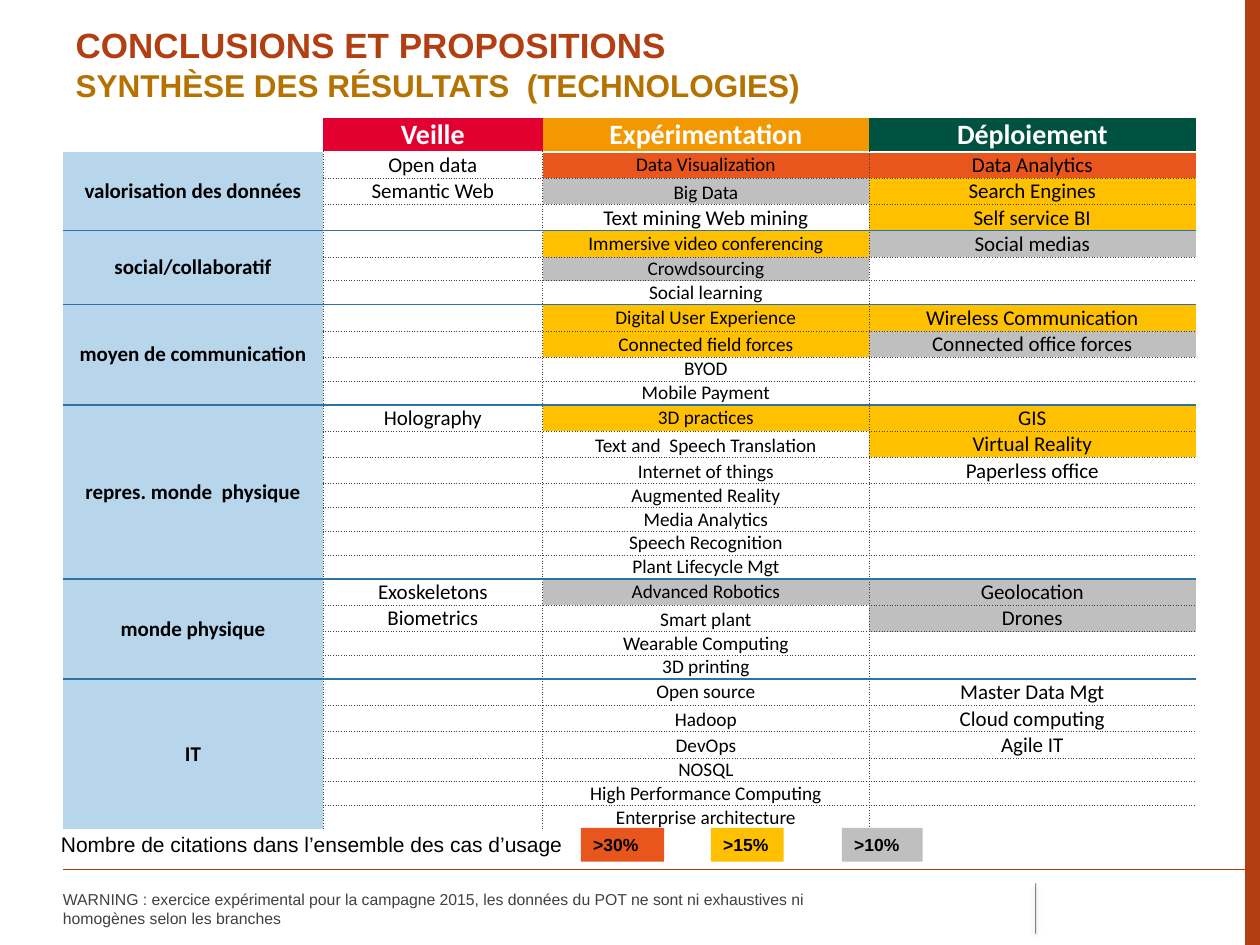
from dataclasses import dataclass
from itertools import zip_longest
from typing import Optional

from lxml.etree import SubElement
from pptx import Presentation
from pptx.dml.color import RGBColor
from pptx.enum.shapes import MSO_CONNECTOR as Connector, MSO_SHAPE as Shape
from pptx.enum.text import MSO_ANCHOR as Anchor, PP_ALIGN as Align
from pptx.oxml.ns import qn
from pptx.util import Cm, Pt

RUST, OCHRE, BLACK, WHITE, GREY = "B23F12", "B67200", "000000", "FFFFFF", "404040"
ORANGE, YELLOW, SILVER, PALE_BLUE = "E8561E", "FFC000", "BFBFBF", "B7D5EB"
PLAIN_STYLE = "{2D5ABB26-0587-4C30-8999-92F81FD0307C}"
COLUMN_WIDTHS = (5.24, 4.43, 6.58, 6.58)
HEADER_HEIGHT, TALL_ROW, SHORT_ROW = 0.69, 0.53, 0.47


@dataclass
class Item:
    text: str = ""
    fill: str = WHITE
    size: Optional[int] = None


@dataclass
class Group:
    name: str
    watch: list
    trial: list
    rollout: list


@dataclass
class Border:
    color: str
    width: float
    dash: str = "solid"


@dataclass
class Legend:
    text: str
    left: float
    width: float
    fill: str


DOTTED = Border(GREY, 0.5, "dot")
BLUE = Border("2D72A4", 1)
WHITE_EDGE = Border(WHITE, 1)

HEADERS = [Item(), Item("Veille", "E20031"), Item("Expérimentation", "F39800"), Item("Déploiement", "005240")]
GROUPS = [
    Group("valorisation des données",
          [Item("Open data"), Item("Semantic Web")],
          [Item("Data Visualization", ORANGE), Item("Big Data", SILVER),
           Item("Text mining Web mining", size=12)],
          [Item("Data Analytics", ORANGE), Item("Search Engines", YELLOW), Item("Self service BI", YELLOW)]),
    Group("social/collaboratif", [],
          [Item("Immersive video conferencing", YELLOW), Item("Crowdsourcing", SILVER),
           Item("Social learning")],
          [Item("Social medias", SILVER)]),
    Group("moyen de communication", [],
          [Item("Digital User Experience", YELLOW), Item("Connected field forces", YELLOW),
           Item("BYOD"), Item("Mobile Payment")],
          [Item("Wireless Communication", YELLOW), Item("Connected office forces", SILVER)]),
    Group("repres. monde  physique",
          [Item("Holography")],
          [Item("3D practices", YELLOW), Item("Text and  Speech Translation"), Item("Internet of things"),
           Item("Augmented Reality"), Item("Media Analytics"), Item("Speech Recognition"),
           Item("Plant Lifecycle Mgt")],
          [Item("GIS", YELLOW), Item("Virtual Reality", YELLOW), Item("Paperless office")]),
    Group("monde physique",
          [Item("Exoskeletons"), Item("Biometrics")],
          [Item("Advanced Robotics", SILVER), Item("Smart plant"), Item("Wearable Computing"),
           Item("3D printing")],
          [Item("Geolocation", SILVER), Item("Drones", SILVER)]),
    Group("IT", [],
          [Item("Open source"), Item("Hadoop"), Item("DevOps"), Item("NOSQL"),
           Item("High Performance Computing"), Item("Enterprise architecture")],
          [Item("Master Data Mgt"), Item("Cloud computing"), Item("Agile IT")]),
]
LEGENDS = [Legend(">30%", 11.71, 1.68, ORANGE), Legend(">15%", 14.33, 1.47, YELLOW),
           Legend(">10%", 16.97, 1.63, SILVER)]


def rgb(color: str) -> RGBColor:
    return RGBColor.from_string(color)


def add_run(paragraph, text: str, size: float, color: str, bold: bool = False, font: str = "Arial") -> None:
    run = paragraph.add_run()
    run.text = text
    run.font.name, run.font.size, run.font.bold = font, Pt(size), bold
    run.font.color.rgb = rgb(color)


def add_rectangle(slide, left: float, top: float, width: float, height: float, fill: str):
    shape = slide.shapes.add_shape(Shape.RECTANGLE, Cm(left), Cm(top), Cm(width), Cm(height))
    shape.shadow.inherit = False
    shape.fill.solid()
    shape.fill.fore_color.rgb = rgb(fill)
    shape.line.fill.background()
    return shape


def add_line(slide, start: tuple, end: tuple, color: str, width: float):
    line = slide.shapes.add_connector(Connector.STRAIGHT, *map(Cm, start + end))
    line.line.color.rgb = rgb(color)
    line.line.width = Pt(width)
    return line, SubElement(line._element.spPr, qn("a:effectLst"))


def add_text(slide, left: float, top: float, width: float, height: float, text: str, size: float, color: str):
    box = slide.shapes.add_textbox(Cm(left), Cm(top), Cm(width), Cm(height))
    box.text_frame.word_wrap = True
    add_run(box.text_frame.paragraphs[0], text, size, color)
    return box.text_frame


def set_borders(cell, **borders: Optional[Border]) -> None:
    properties = cell._tc.get_or_add_tcPr()
    for side in "LRTB":
        border = borders.get(side)
        if border:
            line = SubElement(properties, qn(f"a:ln{side}"), w=str(Pt(border.width)))
            SubElement(SubElement(line, qn("a:solidFill")), qn("a:srgbClr"), val=border.color)
            SubElement(line, qn("a:prstDash"), val=border.dash)


def fill_cell(cell, item: Item, size: int, color: str = BLACK, bold: bool = False, anchor=Anchor.BOTTOM) -> None:
    cell.margin_left = cell.margin_right = cell.margin_top = cell.margin_bottom = 0
    cell.vertical_anchor = anchor
    cell.fill.solid()
    cell.fill.fore_color.rgb = rgb(item.fill)
    paragraph = cell.text_frame.paragraphs[0]
    paragraph.alignment = Align.CENTER
    if item.text:
        add_run(paragraph, item.text, item.size or size, color, bold, "Calibri")
    else:
        SubElement(paragraph._p, qn("a:endParaRPr"), sz=str(size * 100))


def add_group(table, group: Group, first_row: int, is_first: bool, is_last: bool) -> int:
    rows = list(zip_longest(group.watch, group.trial, group.rollout, fillvalue=Item()))
    last_row = first_row + len(rows) - 1
    closing = None if is_last else BLUE
    name_cell = table.cell(first_row, 0)
    name_cell.merge(table.cell(last_row, 0))
    set_borders(name_cell, R=DOTTED, T=None if is_first else BLUE, B=closing)
    fill_cell(name_cell, Item(group.name, PALE_BLUE), 12, bold=True, anchor=Anchor.MIDDLE)
    opening = WHITE_EDGE if is_first else BLUE
    for row, items in enumerate(rows, first_row):
        watch, trial, rollout = items
        tall = watch.text or rollout.text or trial.size == 12
        table.rows[row].height = Cm(TALL_ROW if tall else SHORT_ROW)
        for column, item in enumerate(items, 1):
            cell = table.cell(row, column)
            set_borders(cell, L=DOTTED, R=DOTTED if column < 3 else None,
                        T=opening if row == first_row else DOTTED,
                        B=closing if row == last_row else DOTTED)
            centred = column == 2 and row == first_row
            fill_cell(cell, item, 12 if column != 2 and item.text else 11,
                      anchor=Anchor.MIDDLE if centred else Anchor.BOTTOM)
    return last_row + 1


def add_technology_table(slide) -> None:
    row_count = 1 + sum(len(group.trial) for group in GROUPS)
    frame = slide.shapes.add_table(row_count, 4, Cm(1.27), Cm(2.37), Cm(sum(COLUMN_WIDTHS)), Cm(14.2))
    table = frame.table
    table.first_row = table.horz_banding = False
    table._tbl.tblPr.find(qn("a:tableStyleId")).text = PLAIN_STYLE
    for column, width in zip(table.columns, COLUMN_WIDTHS):
        column.width = Cm(width)
    table.rows[0].height = Cm(HEADER_HEIGHT)
    for column, header in enumerate(HEADERS):
        set_borders(table.cell(0, column), B=WHITE_EDGE if header.text else None)
        fill_cell(table.cell(0, column), header, 16, WHITE, True)
    row = 1
    for group in GROUPS:
        row = add_group(table, group, row, group is GROUPS[0], group is GROUPS[-1])


def add_title(slide) -> None:
    title = slide.shapes.title
    title.left, title.top, title.width, title.height = Cm(1.27), Cm(0.41), Cm(22.15), Cm(1.75)
    paragraph = title.text_frame.paragraphs[0]
    paragraph.alignment = Align.LEFT
    add_run(paragraph, "CONCLUSIONS ET PROPOSITIONS", 20, RUST, True)
    paragraph.add_line_break()
    add_run(paragraph, "SYNTHÈSE DES RÉSULTATS  (TECHNOLOGIES)", 18, OCHRE, True)


def add_frame(slide) -> None:
    add_rectangle(slide, 25.1, 0, 0.3, 19.05, RUST)
    add_line(slide, (1.27, 17.53), (25.4, 17.53), RUST, 0.75)
    divider, effects = add_line(slide, (20.88, 17.81), (20.88, 18.82), BLACK, 0.5)
    SubElement(divider._element.spPr.find(".//" + qn("a:srgbClr")), qn("a:alpha"), val="70000")
    shadow = SubElement(effects, qn("a:outerShdw"), blurRad="40000", dist="20000", dir="5400000")
    shadow_color = SubElement(shadow, qn("a:srgbClr"), val=BLACK)
    SubElement(shadow_color, qn("a:alpha"), val="38000")


def main() -> None:
    presentation = Presentation()
    presentation.slide_width, presentation.slide_height = Cm(25.4), Cm(19.05)
    slide = presentation.slides.add_slide(presentation.slide_layouts[5])
    add_frame(slide)
    add_technology_table(slide)
    for legend in LEGENDS:
        shape = add_rectangle(slide, legend.left, 16.69, legend.width, 0.68, legend.fill)
        paragraph = shape.text_frame.paragraphs[0]
        paragraph.alignment = Align.LEFT
        add_run(paragraph, legend.text, 10, BLACK, True)
    add_text(slide, 0.98, 16.64, 11, 0.77, "Nombre de citations dans l’ensemble des cas d’usage", 12, BLACK)
    add_title(slide)
    warning = add_text(slide, 1.27, 17.81, 15.44, 1.01,
                       "WARNING : exercice expérimental pour la campagne 2015, les données du POT "
                       "ne sont ni exhaustives ni homogènes selon les branches", 9, GREY)
    warning.margin_left = 0
    warning.vertical_anchor = Anchor.MIDDLE
    presentation.save("out.pptx")


if __name__ == "__main__":
    main()
